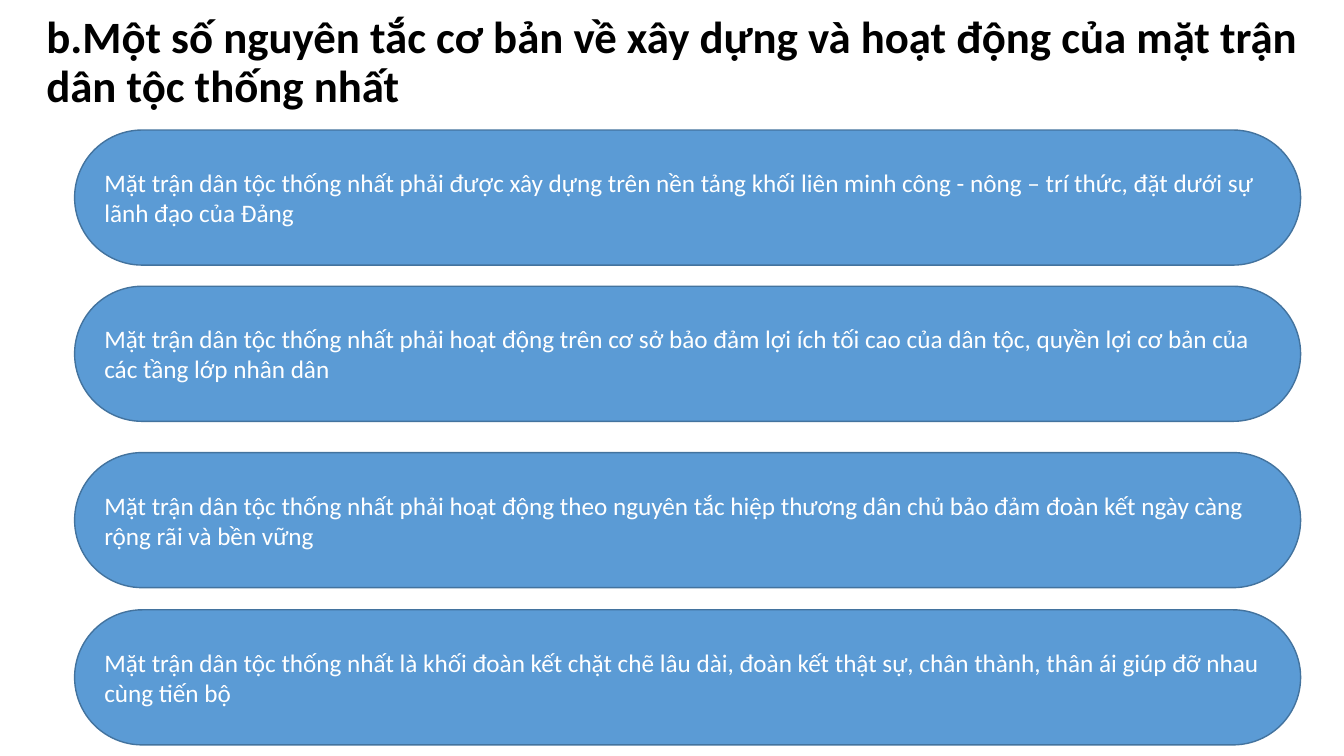
from dataclasses import dataclass

from pptx import Presentation
from pptx.dml.color import RGBColor
from pptx.enum.shapes import MSO_SHAPE
from pptx.enum.text import MSO_ANCHOR, MSO_AUTO_SIZE, PP_ALIGN
from pptx.slide import Slide
from pptx.text.text import TextFrame
from pptx.util import Inches, Pt


@dataclass(frozen=True)
class Principle:
    top: float
    wording: str


HEADING = "b.Một số nguyên tắc cơ bản về xây dựng và hoạt động của mặt trận dân tộc thống nhất"
FRONT = "Mặt trận dân tộc thống nhất "
PRINCIPLES = [
    Principle(1.29, "phải được xây dựng trên nền tảng khối liên minh công - nông – trí thức, "
                    "đặt dưới sự lãnh đạo của Đảng"),
    Principle(2.84, "phải hoạt động trên cơ sở bảo đảm lợi ích tối cao của dân tộc, "
                    "quyền lợi cơ bản của các tầng lớp nhân dân"),
    Principle(4.49, "phải hoạt động theo nguyên tắc hiệp thương dân chủ "
                    "bảo đảm đoàn kết ngày càng rộng rãi và bền vững"),
    Principle(6.05, "là khối đoàn kết chặt chẽ lâu dài, đoàn kết thật sự, chân thành, "
                    "thân ái giúp đỡ nhau cùng tiến bộ"),
]


def color(value: str) -> RGBColor:
    return RGBColor.from_string(value)


def write(frame: TextFrame, text: str, size: int, ink: str, anchor: MSO_ANCHOR,
          bold: bool = False, spacing: float = 1.0) -> None:
    frame.word_wrap = True
    frame.auto_size = MSO_AUTO_SIZE.NONE
    frame.vertical_anchor = anchor
    paragraph = frame.paragraphs[0]
    paragraph.alignment = PP_ALIGN.LEFT
    paragraph.line_spacing = spacing
    run = paragraph.add_run()
    run.text = text
    run.font.name = "Calibri"
    run.font.size = Pt(size)
    run.font.bold = bold
    run.font.color.rgb = color(ink)


def add_heading(slide: Slide) -> None:
    heading = slide.shapes.title
    heading.left, heading.top = Inches(0.36), Inches(0.17)
    heading.width, heading.height = Inches(12.62), Inches(0.99)
    write(heading.text_frame, HEADING, 32, "000000", MSO_ANCHOR.BOTTOM, bold=True, spacing=0.9)


def add_principle(slide: Slide, principle: Principle) -> None:
    capsule = slide.shapes.add_shape(MSO_SHAPE.ROUNDED_RECTANGLE, Inches(0.74),
                                     Inches(principle.top), Inches(12.16), Inches(1.34))
    capsule.adjustments[0] = 0.5
    capsule.shadow.inherit = False
    capsule.fill.solid()
    capsule.fill.fore_color.rgb = color("5B9BD5")
    capsule.line.color.rgb = color("43739E")
    capsule.line.width = Pt(1)
    write(capsule.text_frame, FRONT + principle.wording, 18, "FFFFFF", MSO_ANCHOR.MIDDLE)


deck = Presentation()
deck.slide_width, deck.slide_height = Inches(13.33), Inches(7.5)
front_slide = deck.slides.add_slide(deck.slide_layouts.get_by_name("Title Only"))
add_heading(front_slide)
for item in PRINCIPLES:
    add_principle(front_slide, item)
deck.save("out.pptx")
